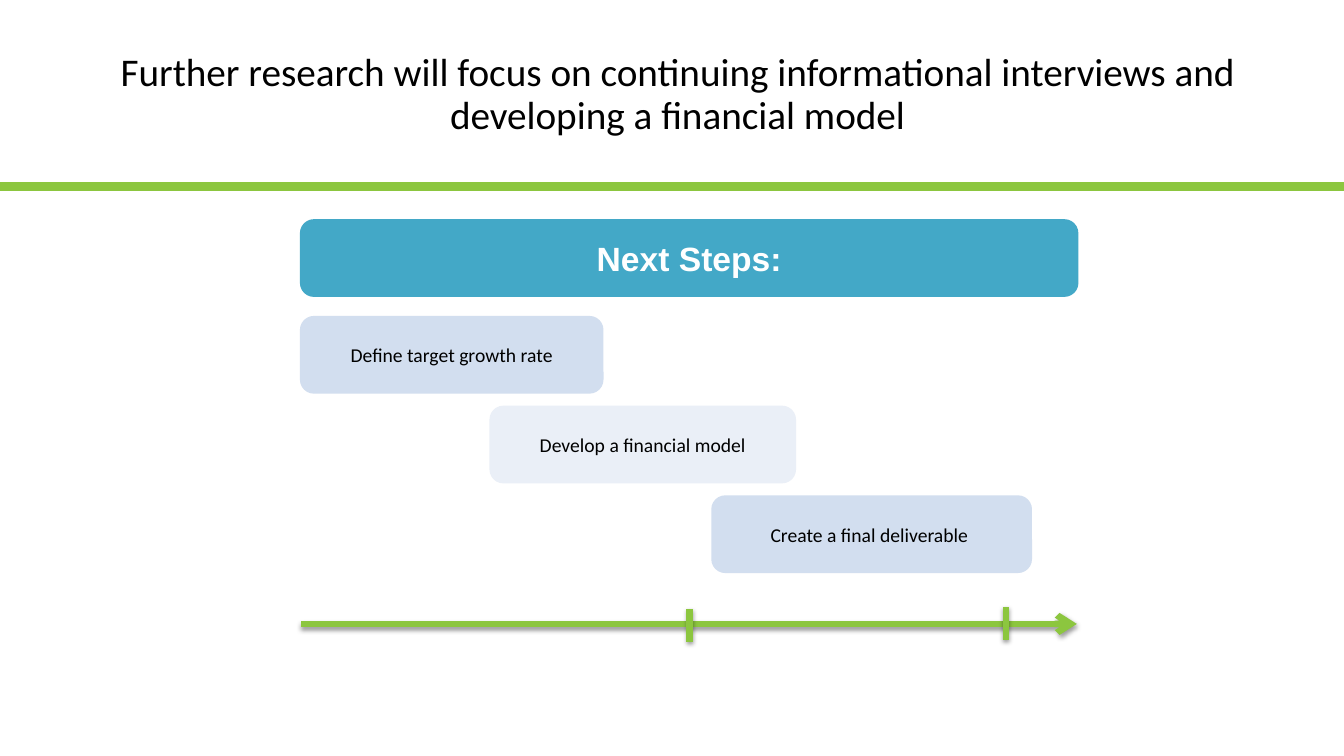
from dataclasses import dataclass

from lxml import etree
from pptx import Presentation
from pptx.dml.color import RGBColor
from pptx.enum.shapes import MSO_CONNECTOR, MSO_SHAPE
from pptx.enum.text import MSO_ANCHOR, PP_ALIGN
from pptx.oxml.ns import qn
from pptx.util import Inches, Pt

STRAIGHT = MSO_CONNECTOR.STRAIGHT
ROUNDED = MSO_SHAPE.ROUNDED_RECTANGLE
MIDDLE = MSO_ANCHOR.MIDDLE
CENTER = PP_ALIGN.CENTER


@dataclass(frozen=True)
class Theme:
    """Colours, fonts and point sizes of the slide."""
    green: str = "8CC63F"
    teal: str = "43A8C7"
    blue: str = "D2DEEF"
    pale: str = "EAEFF7"
    white: str = "FFFFFF"
    black: str = "000000"
    body_font: str = "Calibri"
    banner_font: str = "Arial"
    title_size: float = 28
    banner_size: float = 24
    step_size: float = 14
    rule_width: float = 6
    axis_width: float = 4.5
    outline_width: float = 2.25


THEME = Theme()
SLIDE_WIDTH, SLIDE_HEIGHT = 13.33, 7.5
BAR_HEIGHT = 0.74
STEP_PITCH = 0.89
TICK_LENGTH = 0.33
STEPS = [
    ("Define target growth rate", 0, 2.98, THEME.blue),
    ("Develop a financial model", 1.88, 3.01, THEME.pale),
    ("Create a final deliverable ", 4.08, 3.15, THEME.blue),
]
TICKS = [(3.85, -0.15), (6.99, -0.17)]


def write(frame, text, size, font, color, bold=False):
    """Put one centred run in the middle of a text frame."""
    frame.word_wrap = True
    frame.vertical_anchor = MIDDLE
    paragraph = frame.paragraphs[0]
    paragraph.alignment = CENTER
    run = paragraph.add_run()
    run.text = text
    run.font.size = Pt(size)
    run.font.name = font
    run.font.bold = bold
    run.font.color.rgb = RGBColor.from_string(color)
    return paragraph


def add_line(slide, start, end, width, shadow=False, arrow=False):
    """Draw a green line between two points, with optional shadow and arrowhead."""
    line = slide.shapes.add_connector(
        STRAIGHT, *(Inches(value) for value in (*start, *end)))
    line.line.color.rgb = RGBColor.from_string(THEME.green)
    line.line.width = Pt(width)
    if arrow:
        etree.SubElement(line.line._get_or_add_ln(), qn("a:tailEnd"), type="arrow")
    effects = etree.SubElement(line._element.spPr, qn("a:effectLst"))
    if shadow:
        outer = etree.SubElement(
            effects, qn("a:outerShdw"), blurRad=str(Pt(3.1)), dist=str(Pt(1.6)),
            dir="5400000", rotWithShape="0")
        shade = etree.SubElement(outer, qn("a:srgbClr"), val=THEME.black)
        etree.SubElement(shade, qn("a:alpha"), val="38000")


def add_bar(slide, left, top, width, fill):
    """Draw a rounded bar and return its text frame."""
    bar = slide.shapes.add_shape(
        ROUNDED, Inches(left), Inches(top), Inches(width), Inches(BAR_HEIGHT))
    bar.shadow.inherit = False
    bar.fill.solid()
    bar.fill.fore_color.rgb = RGBColor.from_string(fill)
    bar.line.color.rgb = RGBColor.from_string(fill)
    bar.line.width = Pt(THEME.outline_width)
    return bar.text_frame


def add_heading(slide, left, top, width, height):
    """Place the title and the full-width rule beneath it."""
    rule_y = top + height + 0.18
    add_line(slide, (0, rule_y), (SLIDE_WIDTH, rule_y), THEME.rule_width)
    title = slide.shapes.title
    title.left, title.top = Inches(left), Inches(top)
    title.width, title.height = Inches(width), Inches(height)
    paragraph = write(
        title.text_frame,
        "Further research will focus on continuing informational interviews "
        "and developing a financial model",
        THEME.title_size, THEME.body_font, THEME.black)
    paragraph.line_spacing = 0.9


def add_timeline(slide, left, top, width):
    """Draw the arrow with its two milestone ticks."""
    add_line(slide, (left, top), (left + width, top), THEME.axis_width,
             shadow=True, arrow=True)
    for offset, rise in TICKS:
        x, y = left + offset, top + rise
        add_line(slide, (x, y), (x, y + TICK_LENGTH), THEME.axis_width, shadow=True)


def add_next_steps(slide, left, top, width):
    """Draw the banner with the staggered steps below it."""
    banner = add_bar(slide, left, top, width, THEME.teal)
    write(banner, "Next Steps:", THEME.banner_size, THEME.banner_font,
          THEME.white, bold=True)
    for row, (step, offset, step_width, fill) in enumerate(STEPS):
        frame = add_bar(slide, left + offset, top + 0.96 + row * STEP_PITCH,
                        step_width, fill)
        write(frame, step, THEME.step_size, THEME.body_font, THEME.black)


def main():
    """Build and save the slide."""
    deck = Presentation()
    deck.slide_width, deck.slide_height = Inches(SLIDE_WIDTH), Inches(SLIDE_HEIGHT)
    slide = deck.slides.add_slide(deck.slide_layouts[5])
    add_heading(slide, 0.35, 0.22, 12.74, 1.45)
    add_timeline(slide, 2.99, 6.19, 7.69)
    add_next_steps(slide, 2.99, 2.19, 7.69)
    deck.save("out.pptx")


if __name__ == "__main__":
    main()
